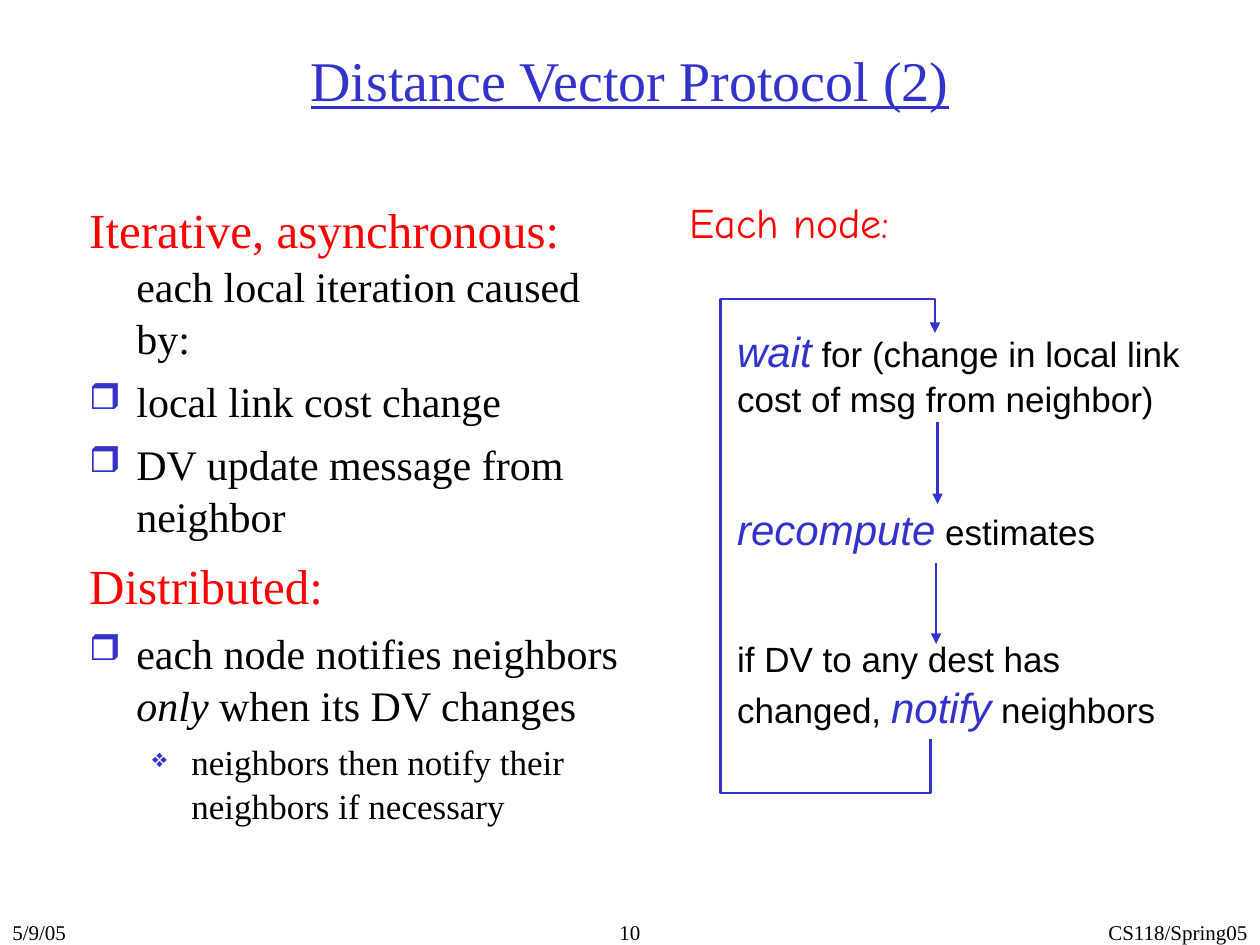
from lxml import etree
from pptx import Presentation
from pptx.dml.color import RGBColor
from pptx.enum.shapes import MSO_CONNECTOR
from pptx.enum.text import MSO_ANCHOR, PP_ALIGN
from pptx.oxml.ns import qn
from pptx.util import Cm, Pt

BLUE = RGBColor(0x33, 0x33, 0xCC)
RED = RGBColor(0xFF, 0x00, 0x00)
BLACK = RGBColor(0x00, 0x00, 0x00)
SERIF, SANS, CASUAL = "Times New Roman", "Arial", "Comic Neue"
LEFT, CENTER, RIGHT = PP_ALIGN.LEFT, PP_ALIGN.CENTER, PP_ALIGN.RIGHT
MIDDLE = MSO_ANCHOR.MIDDLE
STRAIGHT = MSO_CONNECTOR.STRAIGHT
LINE_SPACING = 1.045

# Bullet styles: character, size in percent, left margin and hanging indent in cm
NO_BULLET = (None, None, 0.95, 0.95)
BOX_BULLET = ("❒", 85, 0.95, 0.95)
DIAMOND_BULLET = ("❖", 75, 2.06, 0.79)

# Bullet style, space before in points, runs of (text, size, colour, italic)
BODY = [
    (NO_BULLET, 0, [("Iterative, asynchronous: ", 28, RED, False),
                    ("each local iteration caused by:", 24, BLACK, False)]),
    (BOX_BULLET, 6, [("local link cost change", 24, BLACK, False)]),
    (BOX_BULLET, 6, [("DV update message from neighbor", 24, BLACK, False)]),
    (NO_BULLET, 7, [("Distributed:", 28, RED, False)]),
    (BOX_BULLET, 6, [("each node notifies neighbors ", 24, BLACK, False),
                     ("only", 24, BLACK, True),
                     (" when its DV changes", 24, BLACK, False)]),
    (DIAMOND_BULLET, 5, [("neighbors then notify their neighbors if necessary",
                          20, BLACK, False)]),
]

# Top of each step in cm and its runs
STEPS = [
    (6.4, [("wait", 24, BLUE, True),
           (" for (change in local link cost of msg from neighbor)", 20, BLACK, False)]),
    (9.99, [("recompute", 24, BLUE, True), (" estimates", 20, BLACK, False)]),
    (12.7, [("if DV to any dest has changed, ", 20, BLACK, False),
            ("notify", 24, BLUE, True), (" neighbors", 20, BLACK, False)]),
]

# Each arrow: x, top and bottom in cm
STEP_ARROWS = [(18.9, 8.51, 10.16), (18.87, 11.35, 12.98)]
LOOP_POINTS = [(18.76, 14.89), (18.76, 15.99), (14.53, 15.99),
               (14.53, 6.03), (18.85, 6.03), (18.85, 6.71)]

# Left and width in cm, text, alignment
FOOTERS = [
    (0, 5.28, "5/9/05", LEFT),
    (11.89, 1.27, "10", RIGHT),
    (17.35, 8.05, "CS118/Spring05", RIGHT),
]


def add_text_box(slide, left, top, width, height, wrap=True):
    text_box = slide.shapes.add_textbox(Cm(left), Cm(top), Cm(width), Cm(height))
    text_box.text_frame.word_wrap = wrap
    return text_box.text_frame


def add_runs(paragraph, runs, font_name):
    for text, size, color, italic in runs:
        run = paragraph.add_run()
        run.text = text
        run.font.name = font_name
        run.font.size = Pt(size)
        run.font.color.rgb = color
        run.font.italic = italic


def set_bullet(paragraph, character, percent, margin, hanging):
    properties = paragraph._p.get_or_add_pPr()
    properties.set("marL", str(Cm(margin)))
    properties.set("indent", str(-Cm(hanging)))
    if character is None:
        etree.SubElement(properties, qn("a:buNone"))
        return
    bullet_color = etree.SubElement(properties, qn("a:buClr"))
    etree.SubElement(bullet_color, qn("a:srgbClr"), val=str(BLUE))
    etree.SubElement(properties, qn("a:buSzPct"), val=str(percent * 1000))
    etree.SubElement(properties, qn("a:buChar"), char=character)


def style_arrow(shape):
    shape.line.color.rgb = BLUE
    shape.line.width = Pt(1.5)
    etree.SubElement(shape.line._get_or_add_ln(), qn("a:tailEnd"), type="triangle")


def add_title(slide, text):
    title = slide.shapes.title
    title.left, title.top, title.width, title.height = Cm(0), Cm(0), Cm(25.4), Cm(3.18)
    title.text_frame.text = text
    title.text_frame.vertical_anchor = MIDDLE
    paragraph = title.text_frame.paragraphs[0]
    paragraph.alignment = CENTER
    font = paragraph.runs[0].font
    font.name, font.size, font.underline = SERIF, Pt(32), True
    font.color.rgb = BLUE


def add_body(slide):
    text_frame = add_text_box(slide, 1.55, 3.85, 11.56, 14.6)
    for index, (bullet, space_before, runs) in enumerate(BODY):
        paragraph = text_frame.add_paragraph() if index else text_frame.paragraphs[0]
        paragraph.level = 1 if bullet is DIAMOND_BULLET else 0
        set_bullet(paragraph, *bullet)
        paragraph.space_before = Pt(space_before)
        paragraph.line_spacing = LINE_SPACING
        add_runs(paragraph, runs, SERIF)


def add_step(slide, top, runs):
    paragraph = add_text_box(slide, 14.61, top, 9.78, 2.2).paragraphs[0]
    paragraph.line_spacing = LINE_SPACING
    add_runs(paragraph, runs, SANS)


def add_step_arrow(slide, x, top, bottom):
    arrow = slide.shapes.add_connector(STRAIGHT, Cm(x), Cm(top), Cm(x), Cm(bottom))
    style_arrow(arrow)
    etree.SubElement(arrow._element.spPr, qn("a:effectLst"))


def add_loop_arrow(slide):
    """Lead from the last step back to the first one."""
    start, *others = [(Cm(x), Cm(y)) for x, y in LOOP_POINTS]
    builder = slide.shapes.build_freeform(*start)
    builder.add_line_segments(others, close=False)
    loop = builder.convert_to_shape()
    loop.fill.background()
    style_arrow(loop)
    loop.shadow.inherit = False


def add_label(slide, left, top, width, height, run, font_name, alignment, wrap=True):
    paragraph = add_text_box(slide, left, top, width, height, wrap).paragraphs[0]
    paragraph.alignment = alignment
    add_runs(paragraph, [run], font_name)


def main():
    presentation = Presentation()
    presentation.slide_width, presentation.slide_height = Cm(25.4), Cm(19.05)
    slide = presentation.slides.add_slide(presentation.slide_layouts[5])

    add_title(slide, "Distance Vector Protocol (2)")
    add_body(slide)
    for top, runs in STEPS:
        add_step(slide, top, runs)
    for x, top, bottom in STEP_ARROWS:
        add_step_arrow(slide, x, top, bottom)
    add_loop_arrow(slide)
    add_label(slide, 13.64, 3.84, 4.55, 1.27, ("Each node:", 24, RED, False),
              CASUAL, CENTER, wrap=False)
    for left, width, text, alignment in FOOTERS:
        add_label(slide, left, 18.42, width, 0.76, (text, 12, BLACK, False),
                  SERIF, alignment)

    presentation.save("out.pptx")


if __name__ == "__main__":
    main()
